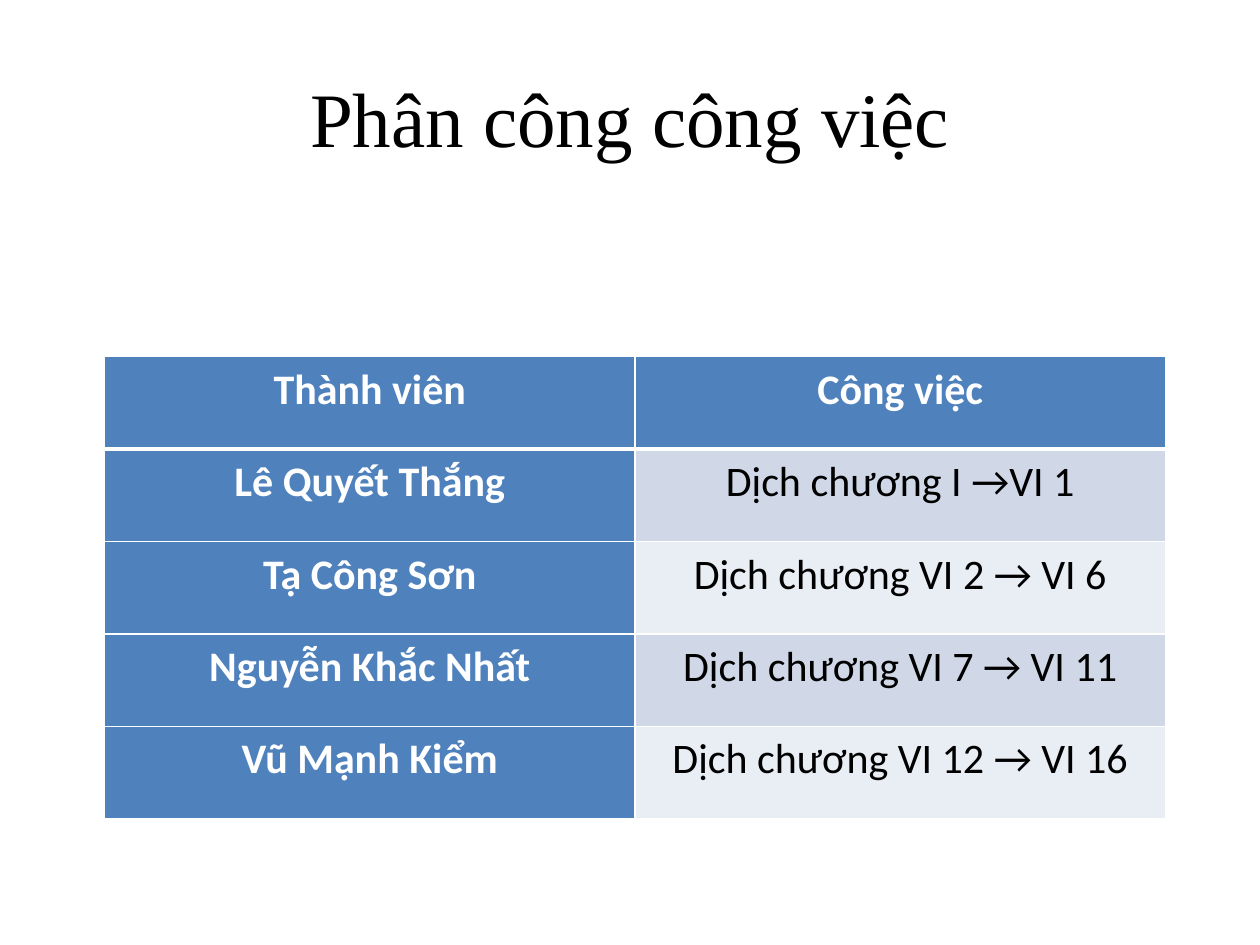
import pptx
import pptx.dml.color
import pptx.enum.text
import pptx.oxml
import pptx.oxml.ns
import pptx.util

RGBColor = pptx.dml.color.RGBColor
Inches = pptx.util.Inches
Pt = pptx.util.Pt

BLACK = RGBColor(0x00, 0x00, 0x00)
WHITE = RGBColor(0xFF, 0xFF, 0xFF)
BLUE = RGBColor(0x4F, 0x81, 0xBD)
BANDS = (RGBColor(0xD0, 0xD8, 0xE8), RGBColor(0xE9, 0xED, 0xF4))

ASSIGNMENTS = [
    ("Thành viên", "Công việc"),
    ("Lê Quyết Thắng", "Dịch chương I →VI 1"),
    ("Tạ Công Sơn", "Dịch chương VI 2 → VI 6"),
    ("Nguyễn Khắc Nhất", "Dịch chương VI 7 → VI 11"),
    ("Vũ Mạnh Kiểm", "Dịch chương VI 12 → VI 16"),
]
COLUMN_WIDTH, ROW_HEIGHT = 4.21, 0.734


def write_text(frame, text, *, font, size, color=BLACK, bold=False, spacing=None):
    paragraph = frame.paragraphs[0]
    paragraph.alignment = pptx.enum.text.PP_ALIGN.CENTER
    paragraph.line_spacing = spacing
    run = paragraph.add_run()
    run.text = text
    run.font.name = font
    run.font.size = Pt(size)
    run.font.bold = bold
    run.font.color.rgb = color


def add_borders(cell, **widths):
    """Draw white edges; widths in points are keyed by L, R, T and B."""
    properties = cell._tc.get_or_add_tcPr()
    for side in "LRTB":
        properties.append(pptx.oxml.parse_xml(
            f'<a:ln{side} {pptx.oxml.ns.nsdecls("a")} w="{Pt(widths.get(side, 1))}">'
            f'<a:solidFill><a:srgbClr val="{WHITE}"/></a:solidFill></a:ln{side}>'))


def format_cell(cell, text, row, column):
    # Borders come before the fill in the cell's XML
    edges = {0: {"B": 3}, 1: {"T": 3}}
    add_borders(cell, **edges.get(row, {}))
    heading = row == 0 or column == 0
    cell.fill.solid()
    cell.fill.fore_color.rgb = BLUE if heading else BANDS[(row - 1) % 2]
    cell.margin_left = cell.margin_right = Inches(0.07)
    cell.margin_top = cell.margin_bottom = 0
    write_text(cell.text_frame, text, font="Calibri", size=24, bold=heading,
               color=WHITE if heading else BLACK, spacing=1.15)


def add_title(slide, text):
    title = slide.shapes.title
    title.left, title.top = Inches(0.5), Inches(0.3)
    title.width, title.height = Inches(9), Inches(1.25)
    title.text_frame.vertical_anchor = pptx.enum.text.MSO_ANCHOR.MIDDLE
    write_text(title.text_frame, text, font="Times New Roman", size=44)


def add_assignment_table(slide, rows):
    columns = len(rows[0])
    table = slide.shapes.add_table(
        len(rows), columns, Inches(0.83), Inches(2.83),
        Inches(columns * COLUMN_WIDTH), Inches(len(rows) * ROW_HEIGHT)).table
    table.first_col = True
    for row, texts in enumerate(rows):
        for column, text in enumerate(texts):
            format_cell(table.cell(row, column), text, row, column)


def main():
    deck = pptx.Presentation()
    deck.slide_width, deck.slide_height = Inches(10), Inches(7.5)
    slide = deck.slides.add_slide(deck.slide_layouts.get_by_name("Title Only"))
    add_title(slide, "Phân công công việc")
    add_assignment_table(slide, ASSIGNMENTS)
    deck.save("out.pptx")


if __name__ == "__main__":
    main()
